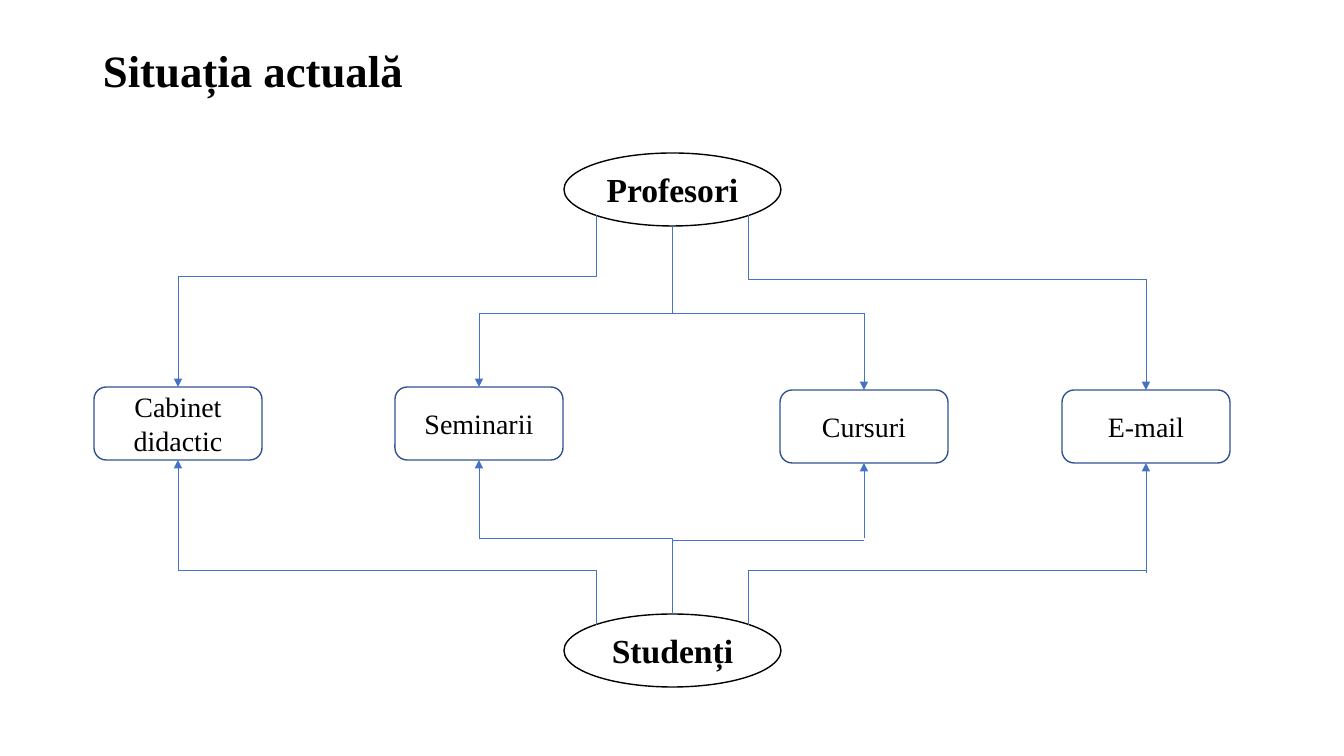
"""Build the slide showing how professors and students communicate today."""
from dataclasses import dataclass

from lxml import etree
from pptx import Presentation
from pptx import util as u
from pptx.dml.color import RGBColor
from pptx.enum import shapes, text
from pptx.oxml.ns import qn

SCALE = 914400 / 100.8


@dataclass(frozen=True)
class Theme:
    font: str = "Times New Roman"
    ink: str = "000000"
    paper: str = "FFFFFF"
    box_line: str = "325491"
    arrow: str = "4472C4"
    title_size: int = 32
    group_size: int = 24
    channel_size: int = 20
    outline: float = 1
    thin: float = 0.5


def px(value):
    return u.Emu(round(value * SCALE))


class Canvas:
    def __init__(self, slide, theme):
        self.slide = slide
        self.theme = theme

    def label(self, shape, words, size, bold, align):
        frame = shape.text_frame
        frame.word_wrap = True
        frame.vertical_anchor = text.MSO_ANCHOR.MIDDLE
        paragraph = frame.paragraphs[0]
        paragraph.alignment = align
        run = paragraph.add_run()
        run.text = words
        run.font.name = self.theme.font
        run.font.size = u.Pt(size)
        run.font.bold = bold
        run.font.color.rgb = RGBColor.from_string(self.theme.ink)
        return paragraph

    def title(self, words, *place):
        box = self.slide.shapes.add_textbox(*map(px, place))
        paragraph = self.label(box, words, self.theme.title_size, True, text.PP_ALIGN.LEFT)
        paragraph.line_spacing = 0.9

    def node(self, kind, words, place, line, size, bold):
        shape = self.slide.shapes.add_shape(kind, *map(px, place))
        shape.shadow.inherit = False
        shape.fill.solid()
        shape.fill.fore_color.rgb = RGBColor.from_string(self.theme.paper)
        shape.line.color.rgb = RGBColor.from_string(line)
        shape.line.width = u.Pt(self.theme.outline)
        self.label(shape, words, size, bold, text.PP_ALIGN.CENTER)

    def group(self, words, *place):
        self.node(shapes.MSO_SHAPE.OVAL, words, place, self.theme.ink,
                  self.theme.group_size, True)

    def channel(self, words, *place):
        self.node(shapes.MSO_SHAPE.ROUNDED_RECTANGLE, words, place, self.theme.box_line,
                  self.theme.channel_size, False)

    def connector(self, kind, *ends):
        connector = self.slide.shapes.add_connector(kind, *map(px, ends))
        connector.line.color.rgb = RGBColor.from_string(self.theme.arrow)
        connector.line.width = u.Pt(self.theme.thin)
        etree.SubElement(connector._element.spPr, qn("a:effectLst"))
        return connector

    def arrow(self, *ends):
        connector = self.connector(shapes.MSO_CONNECTOR.STRAIGHT, *ends)
        line = connector._element.spPr.find(qn("a:ln"))
        etree.SubElement(line, qn("a:tailEnd"), type="triangle")

    def elbow(self, *ends):
        connector = self.connector(shapes.MSO_CONNECTOR.ELBOW, *ends)
        connector._element.spPr.find(qn("a:prstGeom")).set("prst", "bentConnector2")


GROUP_LEFT, GROUP_WIDTH, HEIGHT = 564, 217, 73
PROFESSORS_TOP, STUDENTS_TOP = 153, 614
CHANNEL_WIDTH = 168
CENTER, SIDE, INSET = 672, 76, 11

CHANNELS = [
    ("Cabinet didactic", 94, 387, -1, 276, 570, 570),
    ("Seminarii", 395, 387, 0, 313, 538, 538),
    ("Cursuri", 780, 390, 0, 313, 540, 538),
    ("E-mail", 1062, 390, 1, 279, 570, 573),
]

presentation = Presentation()
presentation.slide_width, presentation.slide_height = px(1344), px(756)
slide = presentation.slides.add_slide(presentation.slide_layouts[6])
canvas = Canvas(slide, Theme())

canvas.title("Situația actuală", 93, 2, 1159, 142)
canvas.group("Profesori", GROUP_LEFT, PROFESSORS_TOP, GROUP_WIDTH, HEIGHT)
canvas.group("Studenți", GROUP_LEFT, STUDENTS_TOP, GROUP_WIDTH, HEIGHT)

for name, left, top, side, upper_bend, lower_bend, lower_start in CHANNELS:
    canvas.channel(name, left, top, CHANNEL_WIDTH, HEIGHT)
    middle = left + CHANNEL_WIDTH // 2
    exit_x = CENTER + side * SIDE
    inset = INSET * abs(side)
    canvas.elbow(middle, upper_bend, exit_x, PROFESSORS_TOP + HEIGHT - inset)
    canvas.arrow(middle, upper_bend, middle, top)
    canvas.elbow(middle, lower_bend, exit_x, STUDENTS_TOP + inset)
    canvas.arrow(middle, lower_start, middle, top + HEIGHT)

presentation.save("out.pptx")
